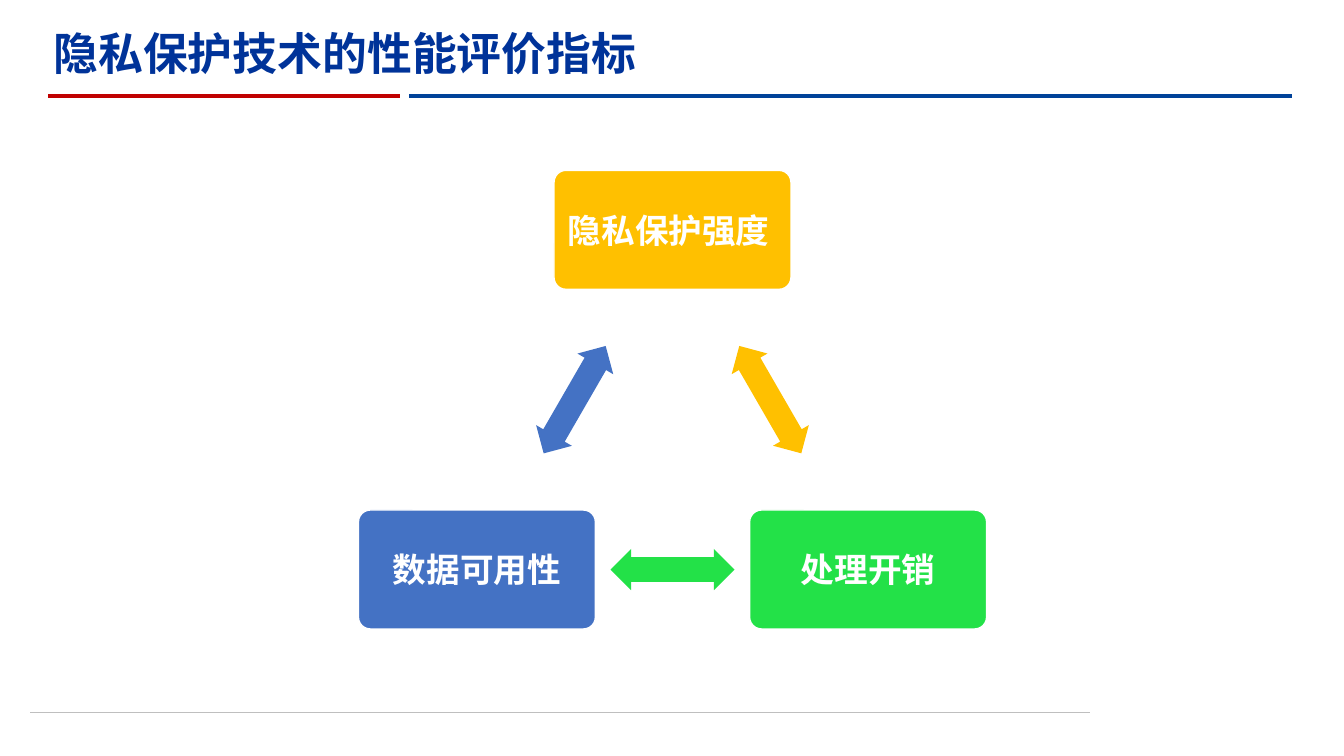
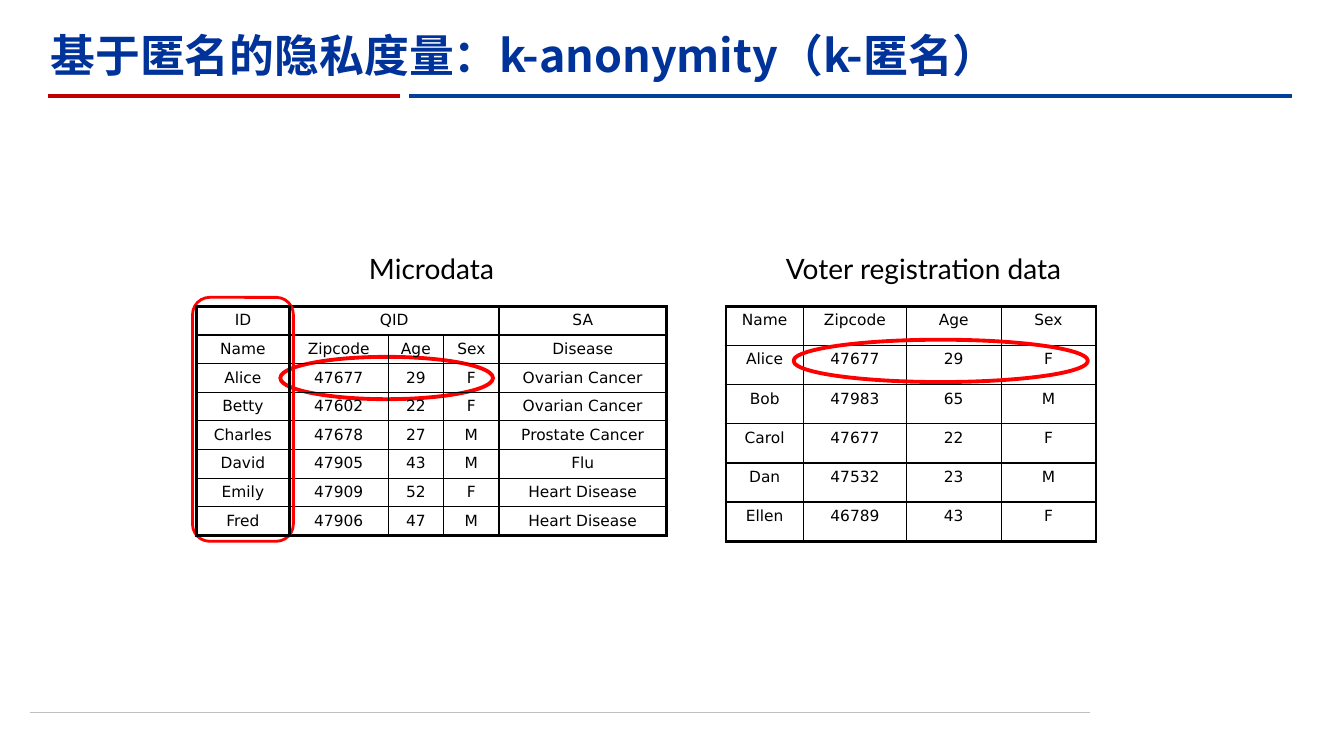
from lxml import etree
from pptx import Presentation, util as u
from pptx.dml.color import RGBColor
from pptx.enum import shapes, text
from pptx.oxml import ns

Inches, Pt = u.Inches, u.Pt
SHAPE, ALIGN = shapes.MSO_SHAPE, text.PP_ALIGN
CJK, BODY, CAPTION, DATA = "Noto Sans CJK SC", "Roboto", "Lato", "DejaVu Sans"
TITLE, BLUE, RED, GREY = "003399", "004299", "C00000", "BFBFBF"
AMBER, GREEN, AZURE = "FFC000", "23E148", "4472C4"
BLACK, WHITE, MARK = "000000", "FFFFFF", "FF0000"
THICK, THIN = 2.25, 1

MICRODATA = [
    ["QID", "", "", "SA"],
    ["Zipcode", "Age", "Sex", "Disease"],
    ["47677", "29", "F", "Ovarian Cancer"],
    ["47602", "22", "F", "Ovarian Cancer"],
    ["47678", "27", "M", "Prostate Cancer"],
    ["47905", "43", "M", "Flu"],
    ["47909", "52", "F", "Heart Disease"],
    ["47906", "47", "M", "Heart Disease"],
]
NAMES = [[name] for name in
         ("ID", "Name", "Alice", "Betty", "Charles", "David", "Emily", "Fred")]
VOTERS = [
    ["Name", "Zipcode", "Age", "Sex"],
    ["Alice", "47677", "29", "F"],
    ["Bob", "47983", "65", "M"],
    ["Carol", "47677", "22", "F"],
    ["Dan", "47532", "23", "M"],
    ["Ellen", "46789", "43", "F"],
]


def rgb(value):
    return RGBColor.from_string(value)


def write(tf, content, size, font, color=BLACK, bold=False, align=ALIGN.CENTER,
          anchor=None):
    """Put one formatted paragraph into a text frame."""
    tf.word_wrap = True
    if anchor is not None:
        tf.vertical_anchor = anchor
    p = tf.paragraphs[0]
    p.alignment = align
    r = p.add_run()
    r.text = content
    r.font.size, r.font.name, r.font.bold = Pt(size), font, bold
    r.font.color.rgb = rgb(color)
    ea = etree.SubElement(r.font._element, ns.qn("a:ea"))
    ea.set("typeface", CJK)


def add_line(s, x1, x2, y, color, width):
    line = s.shapes.add_connector(shapes.MSO_CONNECTOR.STRAIGHT,
                                  Inches(x1), Inches(y), Inches(x2), Inches(y))
    line.line.color.rgb = rgb(color)
    line.line.width = Pt(width)
    etree.SubElement(line._element.spPr, ns.qn("a:effectLst"))


def add_slide(prs, title, left, top, width):
    """Add a slide with its title, the two-part rule and the foot line."""
    s = prs.slides.add_slide(prs.slide_layouts[5])
    add_line(s, 0.3, 10.81, 7.07, GREY, 0.5)
    add_line(s, 4.06, 12.81, 0.95, BLUE, 3)
    add_line(s, 0.48, 3.97, 0.95, RED, 3)
    sp = s.shapes.title
    sp.left, sp.top, sp.width, sp.height = map(Inches, (left, top, width, 0.84))
    tf = sp.text_frame
    tf.auto_size = text.MSO_AUTO_SIZE.NONE
    write(tf, title, 32, CJK, TITLE, bold=True, align=ALIGN.LEFT,
          anchor=text.MSO_ANCHOR.MIDDLE)
    return s


def add_shape(s, kind, left, top, width, height, fill=None, line=None,
              weight=1, adjust=()):
    sp = s.shapes.add_shape(kind, *map(Inches, (left, top, width, height)))
    sp.shadow.inherit = False
    for i, value in enumerate(adjust):
        sp.adjustments[i] = value
    if fill:
        sp.fill.solid()
        sp.fill.fore_color.rgb = rgb(fill)
    else:
        sp.fill.background()
    if line:
        sp.line.color.rgb = rgb(line)
        sp.line.width = Pt(weight)
    else:
        sp.line.fill.background()
    return sp


def add_caption(s, content, left, width):
    box = s.shapes.add_textbox(*map(Inches, (left, 2.45, width, 0.42)))
    write(box.text_frame, content, 20, CAPTION)


def set_border(cell, side, width):
    ln = etree.SubElement(cell._tc.get_or_add_tcPr(), ns.qn(f"a:ln{side}"),
                          w=str(Pt(width)))
    fill = etree.SubElement(ln, ns.qn("a:solidFill"))
    etree.SubElement(fill, ns.qn("a:srgbClr"), val=BLACK)


def add_table(s, rows, left, height, widths, header_span=1):
    """Add a grid with a thick outer frame and thin inner lines."""
    n_rows, n_cols = len(rows), len(widths)
    frame = s.shapes.add_table(n_rows, n_cols, Inches(left), Inches(3.04),
                               Inches(sum(widths)), Inches(height))
    table = frame.table
    table.first_row = table.horz_banding = False
    for column, width in zip(table.columns, widths):
        column.width = Inches(width)
    if header_span > 1:
        table.cell(0, 0).merge(table.cell(0, header_span - 1))
    for i, row in enumerate(rows):
        for j, value in enumerate(row):
            cell = table.cell(i, j)
            if cell.is_spanned:
                continue
            outer = {"L": j == 0, "R": j == n_cols - 1,
                     "T": i == 0, "B": i == n_rows - 1}
            for side, is_outer in outer.items():
                set_border(cell, side, THICK if is_outer else THIN)
            cell.fill.background()
            write(cell.text_frame, value, 11, DATA)


def build_metrics(prs):
    s = add_slide(prs, "隐私保护技术的性能评价指标", 0.43, 0.1, 9)
    box_w, box_h, arrow_w, arrow_h = 2.35, 1.18, 1.23, 0.41
    mid, reach, top_y, base_y = 6.67, 1.94, 2.28, 5.65
    nodes = [("隐私保护强度 ", AMBER, mid, top_y),
             ("处理开销", GREEN, mid + reach, base_y),
             ("数据可用性", AZURE, mid - reach, base_y)]
    for i, (label, color, x, y) in enumerate(nodes):
        box = add_shape(s, SHAPE.ROUNDED_RECTANGLE, x - box_w / 2, y - box_h / 2,
                        box_w, box_h, color, WHITE, adjust=[0.1])
        write(box.text_frame, label, 24, BODY, WHITE, bold=True,
              anchor=text.MSO_ANCHOR.MIDDLE)
        next_x, next_y = nodes[(i + 1) % len(nodes)][2:]
        arrow = add_shape(s, SHAPE.LEFT_RIGHT_ARROW,
                          (x + next_x - arrow_w) / 2, (y + next_y - arrow_h) / 2,
                          arrow_w, arrow_h, color, adjust=[0.6, 0.5])
        arrow.rotation = 60 + 120 * i


def build_anonymity(prs):
    s = add_slide(prs, "基于匿名的隐私度量：k-anonymity（k-匿名）", 0.4, 0.12, 10.46)
    add_table(s, VOTERS, 7.2, 2.33, [0.77, 1.02, 0.94, 0.94])
    add_caption(s, "Voter registration data", 7.45, 3.42)
    for left, top, width in ((7.87, 3.37, 2.92), (2.78, 3.54, 2.11)):
        add_shape(s, SHAPE.OVAL, left, top, width, 0.42, line=MARK, weight=2.75)
    add_table(s, MICRODATA, 2.87, 2.27, [0.98, 0.55, 0.55, 1.66], header_span=3)
    add_shape(s, SHAPE.ROUNDED_RECTANGLE, 1.91, 2.95, 1, 2.42, line=MARK,
              weight=2, adjust=[0.17])
    add_table(s, NAMES, 1.95, 2.27, [0.92])
    add_caption(s, "Microdata", 2.53, 3.5)


def main():
    prs = Presentation()
    prs.slide_width, prs.slide_height = Inches(13.33), Inches(7.5)
    build_metrics(prs)
    build_anonymity(prs)
    prs.save("out.pptx")


if __name__ == "__main__":
    main()
